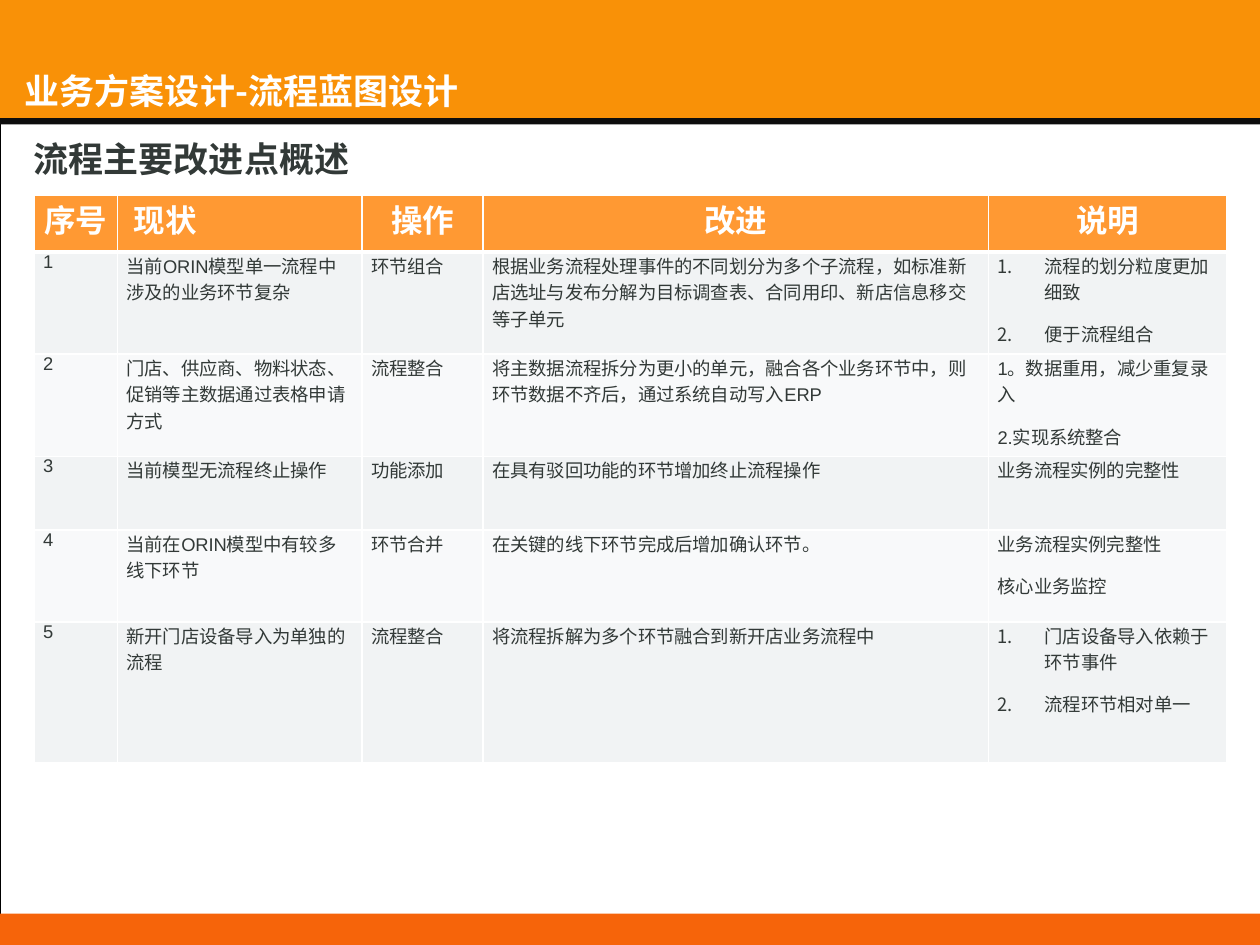
import lxml.etree
import pptx
import pptx.dml.color
import pptx.enum.shapes
import pptx.enum.text
import pptx.oxml.ns
import pptx.util

Cm = pptx.util.Cm
Pt = pptx.util.Pt
ALIGN = pptx.enum.text.PP_ALIGN
ANCHOR = pptx.enum.text.MSO_ANCHOR

HEADINGS = ["序号", "现状", "操作", "改进", "说明"]
ROWS = [
    ["1", "当前ORIN模型单一流程中涉及的业务环节复杂", "环节组合",
     "根据业务流程处理事件的不同划分为多个子流程，如标准新店选址与发布分解为目标调查表、合同用印、新店信息移交等子单元",
     ["流程的划分粒度更加细致", "便于流程组合"]],
    ["2", "门店、供应商、物料状态、促销等主数据通过表格申请方式", "流程整合",
     "将主数据流程拆分为更小的单元，融合各个业务环节中，则环节数据不齐后，通过系统自动写入ERP",
     ["1。数据重用，减少重复录入", "2.实现系统整合"]],
    ["3", "当前模型无流程终止操作", "功能添加",
     "在具有驳回功能的环节增加终止流程操作", "业务流程实例的完整性"],
    ["4", "当前在ORIN模型中有较多线下环节", "环节合并",
     "在关键的线下环节完成后增加确认环节。", ["业务流程实例完整性", "核心业务监控"]],
    ["5", "新开门店设备导入为单独的流程", "流程整合",
     "将流程拆解为多个环节融合到新开店业务流程中",
     ["门店设备导入依赖于环节事件", "流程环节相对单一"]],
]
NUMBERED_ROWS = (1, 5)
COLUMN_WIDTHS = [1.68, 4.93, 2.44, 10.19, 4.8]
ROW_HEIGHTS = [1.14, 2.06, 2.06, 1.49, 1.85, 2.84]


def color(value):
    return pptx.dml.color.RGBColor.from_string(value)


def add_element(parent, tag, **attributes):
    return lxml.etree.SubElement(parent, pptx.oxml.ns.qn(tag), attributes)


def set_values(target, values):
    for name, value in values.items():
        setattr(target, name, value)


def write(para, text, size, hex_color, bold, latin="Arial"):
    span = para.add_run()
    span.text = text
    set_values(span.font, {"size": Pt(size), "bold": bold, "name": latin})
    span.font.color.rgb = color(hex_color)
    add_element(span.font._element, "a:ea", typeface="Noto Sans CJK SC")


def set_indent(para, left, first):
    properties = para._p.get_or_add_pPr()
    properties.set("marL", str(Cm(left)))
    properties.set("indent", str(Cm(first)))
    return properties


def add_bar(page, left, top, width, height, fill=None):
    bar = page.shapes.add_shape(pptx.enum.shapes.MSO_SHAPE.RECTANGLE,
                                Cm(left), Cm(top), Cm(width), Cm(height))
    bar.shadow.inherit = False
    if fill:
        bar.fill.solid()
        bar.fill.fore_color.rgb = color(fill)
        bar.line.fill.background()
    else:
        bar.fill.background()
        bar.line.color.rgb = color("000000")
        bar.line.width = Pt(0.2)


def add_backdrop(page, left, top, width, height):
    add_bar(page, left, top, width, height)
    add_bar(page, left, top, width, 2.49, "F99107")
    add_bar(page, left, top + 2.38, width, 0.13, "0D0D0D")
    add_bar(page, left, top + height - 0.63, width, 0.75, "F6640A")


def place_heading(page, holder, box, margins, anchor, text, hex_color, latin):
    page.shapes._spTree.append(holder._element)
    set_values(holder, dict(zip(("left", "top", "width", "height"), map(Cm, box))))
    frame = holder.text_frame
    sides = ("margin_left", "margin_top", "margin_right", "margin_bottom")
    set_values(frame, dict(zip(sides, map(Cm, margins))))
    set_values(frame, {"word_wrap": True, "vertical_anchor": anchor,
                       "auto_size": pptx.enum.text.MSO_AUTO_SIZE.NONE})
    para = frame.paragraphs[0]
    add_element(set_indent(para, 0, 0), "a:buNone")
    set_values(para, {"alignment": ALIGN.LEFT, "line_spacing": 1.0,
                      "space_before": Pt(0)})
    write(para, text, 20, hex_color, True, latin)


def format_cell(cell, fill, bottom_width):
    set_values(cell, {"margin_left": Cm(0.18), "margin_right": Cm(0.18),
                      "margin_top": 0, "margin_bottom": 0})
    properties = cell._tc.get_or_add_tcPr()
    for side, width in (("L", 1), ("R", 1), ("T", 1), ("B", bottom_width)):
        border = add_element(properties, "a:ln" + side, w=str(Pt(width)))
        add_element(add_element(border, "a:solidFill"), "a:srgbClr", val="FFFFFF")
    cell.fill.solid()
    cell.fill.fore_color.rgb = color(fill)


def fill_header(cell, text):
    format_cell(cell, "FF9933", 3)
    para = cell.text_frame.paragraphs[0]
    para.space_after = Pt(3)
    if text == "现状":
        set_indent(para, 0.15, 0)
    else:
        para.alignment = ALIGN.CENTER
    write(para, text, 18, "FFFFFF", True)


def fill_body(cell, content, fill, numbered):
    format_cell(cell, fill, 1)
    lines = content if isinstance(content, list) else [content]
    for index, line in enumerate(lines):
        frame = cell.text_frame
        para = frame.add_paragraph() if index else frame.paragraphs[0]
        if numbered:
            add_element(set_indent(para, 0.95, -0.95), "a:buAutoNum",
                        type="arabicPeriod")
        set_values(para, {"space_before": Pt(6 if index else 0),
                          "space_after": Pt(3)})
        write(para, line, 10.5, "323937", False)


def add_improvements(page, left, top):
    frame = page.shapes.add_table(
        len(ROW_HEIGHTS), len(COLUMN_WIDTHS), Cm(left), Cm(top),
        Cm(sum(COLUMN_WIDTHS)), Cm(sum(ROW_HEIGHTS)))
    table = frame.table
    table.horz_banding = False
    for column, width in zip(table.columns, COLUMN_WIDTHS):
        column.width = Cm(width)
    for row, height in zip(table.rows, ROW_HEIGHTS):
        row.height = Cm(height)
    for column, text in enumerate(HEADINGS):
        fill_header(table.cell(0, column), text)
    for number, contents in enumerate(ROWS, start=1):
        fill = "F1F3F4" if number % 2 else "F8F9FA"
        for column, content in enumerate(contents):
            numbered = number in NUMBERED_ROWS and isinstance(content, list)
            fill_body(table.cell(number, column), content, fill, numbered)


def main():
    deck = pptx.Presentation()
    set_values(deck, {"slide_width": Cm(25.4), "slide_height": Cm(19.05)})
    page = deck.slides.add_slide(deck.slide_layouts[1])
    add_backdrop(page, 0, 0, 25.4, 19.05)
    place_heading(page, page.shapes.title, (0, 0.89, 20.65, 1.45),
                  (0.5, 0.5, 0.1, 0.1), ANCHOR.BOTTOM,
                  "业务方案设计-流程蓝图设计", "FFFFFF", "Noto Sans CJK SC")
    place_heading(page, page.placeholders[1], (0.58, 2.67, 24.28, 1.07),
                  (0.1, 0.1, 0.1, 0.1), ANCHOR.TOP,
                  "流程主要改进点概述", "323937", "Arial")
    add_improvements(page, 0.69, 3.94)
    deck.save("out.pptx")


if __name__ == "__main__":
    main()
